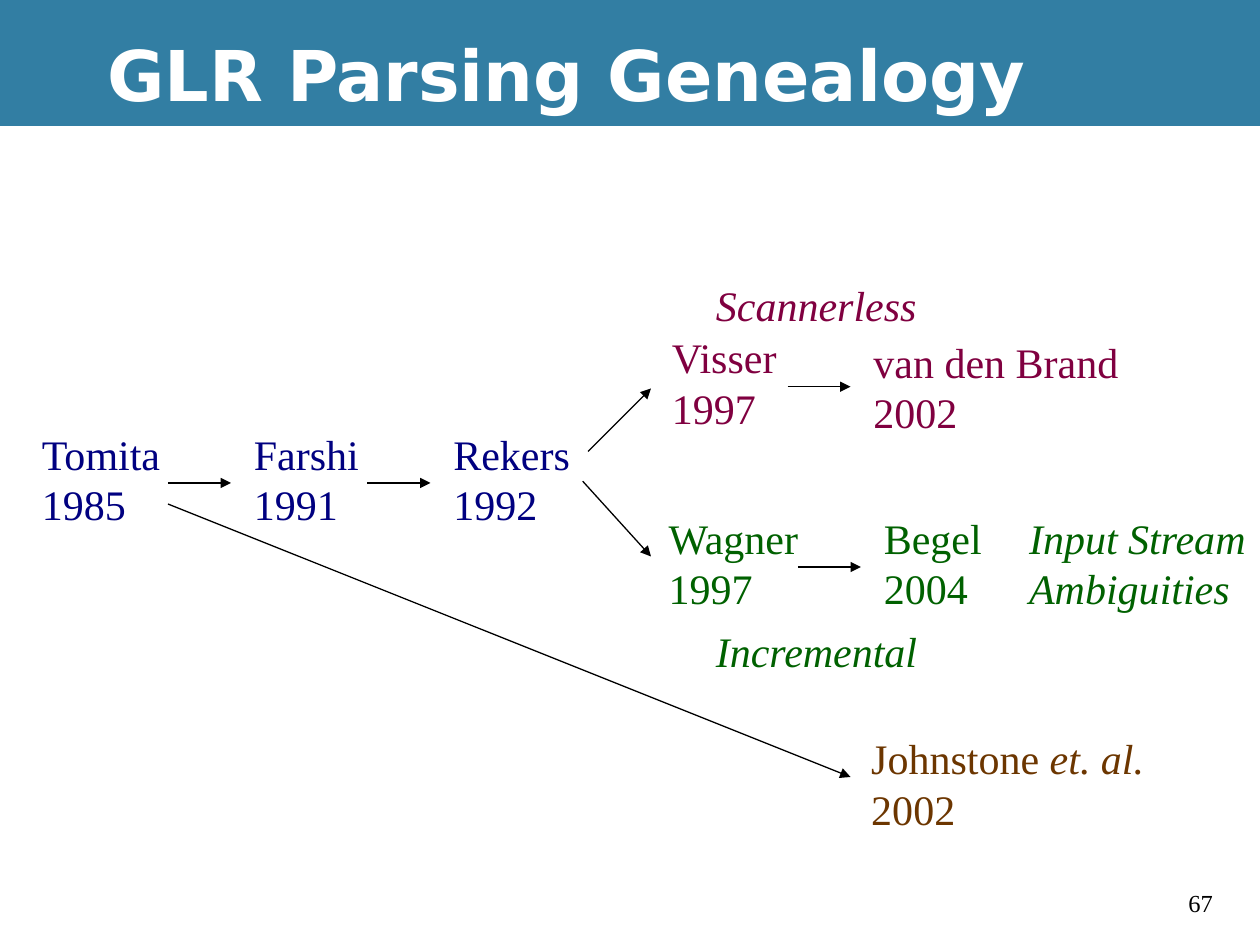
from dataclasses import dataclass

from lxml import etree
from pptx import Presentation
from pptx.dml.color import RGBColor
from pptx.enum.shapes import MSO_CONNECTOR, MSO_SHAPE
from pptx.enum.text import MSO_ANCHOR, MSO_AUTO_SIZE, PP_ALIGN
from pptx.oxml.ns import qn
from pptx.util import Pt

STRAIGHT = MSO_CONNECTOR.STRAIGHT
RECT = MSO_SHAPE.RECTANGLE
MIDDLE = MSO_ANCHOR.MIDDLE
FIT = MSO_AUTO_SIZE.SHAPE_TO_FIT_TEXT
FIXED = MSO_AUTO_SIZE.NONE
LEFT = PP_ALIGN.LEFT


@dataclass(frozen=True)
class Theme:
    black: str = "000000"
    white: str = "FFFFFF"
    band: str = "327EA3"
    navy: str = "000080"
    plum: str = "800040"
    green: str = "006100"
    brown: str = "6C3600"
    head: str = "DejaVu Sans"
    body: str = "Times New Roman"
    large: int = 40
    normal: int = 24
    small: int = 14
    stroke: float = 0.75


class Painter:
    def __init__(self, slide, theme):
        self.slide = slide
        self.theme = theme
        fill = slide.background.fill
        fill.solid()
        fill.fore_color.rgb = RGBColor.from_string(theme.black)

    def style(self, run, color, size, face=None, bold=False, slant=False):
        font = run.font
        font.name = face or self.theme.body
        font.size = Pt(size)
        font.bold = bold
        font.italic = slant
        font.color.rgb = RGBColor.from_string(color)

    def panel(self, left, top, width, height, color):
        shape = self.slide.shapes.add_shape(RECT, Pt(left), Pt(top), Pt(width), Pt(height))
        shape.shadow.inherit = False
        shape.fill.solid()
        shape.fill.fore_color.rgb = RGBColor.from_string(color)
        shape.line.fill.background()

    def title(self, text, left, top, width, height):
        title = self.slide.shapes.title
        title.left, title.top = Pt(left), Pt(top)
        title.width, title.height = Pt(width), Pt(height)
        frame = title.text_frame
        frame.text = text
        frame.auto_size = FIXED
        frame.vertical_anchor = MIDDLE
        line = frame.paragraphs[0]
        line.alignment = LEFT
        theme = self.theme
        self.style(line.runs[0], theme.white, theme.large, theme.head, bold=True)
        self.slide.shapes.element.append(title.element)

    def label(self, text, left, top, width, height, color, size=None, slant=False):
        box = self.slide.shapes.add_textbox(Pt(left), Pt(top), Pt(width), Pt(height))
        frame = box.text_frame
        frame.text = text
        frame.word_wrap = False
        frame.auto_size = FIT
        for line in frame.paragraphs:
            for run in line.runs:
                self.style(run, color, size or self.theme.normal, slant=slant)
        return frame

    def arrow(self, x1, y1, x2, y2):
        line = self.slide.shapes.add_connector(STRAIGHT, Pt(x1), Pt(y1), Pt(x2), Pt(y2))
        line.line.color.rgb = RGBColor.from_string(self.theme.black)
        line.line.width = Pt(self.theme.stroke)
        stroke = line.line._get_or_add_ln()
        etree.SubElement(stroke, qn("a:tailEnd"), type="triangle")
        etree.SubElement(line.element.spPr, qn("a:effectLst"))


def main():
    deck = Presentation()
    deck.slide_width, deck.slide_height = Pt(720), Pt(540)
    theme = Theme()
    draw = Painter(deck.slides.add_slide(deck.slide_layouts[5]), theme)

    draw.panel(0, 72, 720, 468, theme.white)
    draw.panel(0, 0, 720, 72, theme.band)
    draw.label("67", 672, 504, 36, 24, theme.black, theme.small)
    draw.title("GLR Parsing Genealogy", 54, 6, 666, 72)

    tall, short = 65, 36
    works = [
        ("Tomita\v1985", 16.8, 241.2, 83.5, theme.navy),
        ("Farshi\v1991", 138, 241.2, 74.2, theme.navy),
        ("Rekers\v1992", 252, 241.2, 81.4, theme.navy),
        ("Visser\v1997", 376.8, 186, 75.6, theme.plum),
        ("van den Brand\v2002", 492, 188.6, 154.8, theme.plum),
        ("Wagner\n1997", 375, 289.2, 90.7, theme.green),
        ("Begel\v2004", 498, 289.2, 70.6, theme.green),
    ]
    for text, left, top, width, color in works:
        draw.label(text, left, top, width, tall, color)

    traits = [
        ("Scannerless", 402, 156, 128.9, short, theme.plum),
        ("Incremental", 402, 354, 130.3, short, theme.green),
        ("Input Stream\nAmbiguities", 581, 289.2, 139, tall, theme.green),
    ]
    for trait in traits:
        draw.label(*trait, slant=True)

    frame = draw.label("Johnstone \n2002", 490.8, 415.2, 170.6, tall, theme.brown)
    run = frame.paragraphs[0].add_run()
    run.text = "et. al."
    draw.style(run, theme.brown, theme.normal, slant=True)

    step = 36
    for left, top in [(96, 276), (210, 276), (450, 221), (456, 324)]:
        draw.arrow(left, top, left + step, top)
    draw.arrow(336, 258, 372, 222)
    draw.arrow(333, 275, 372, 318)
    draw.arrow(96, 288, 486, 444)

    deck.save("out.pptx")


if __name__ == "__main__":
    main()
